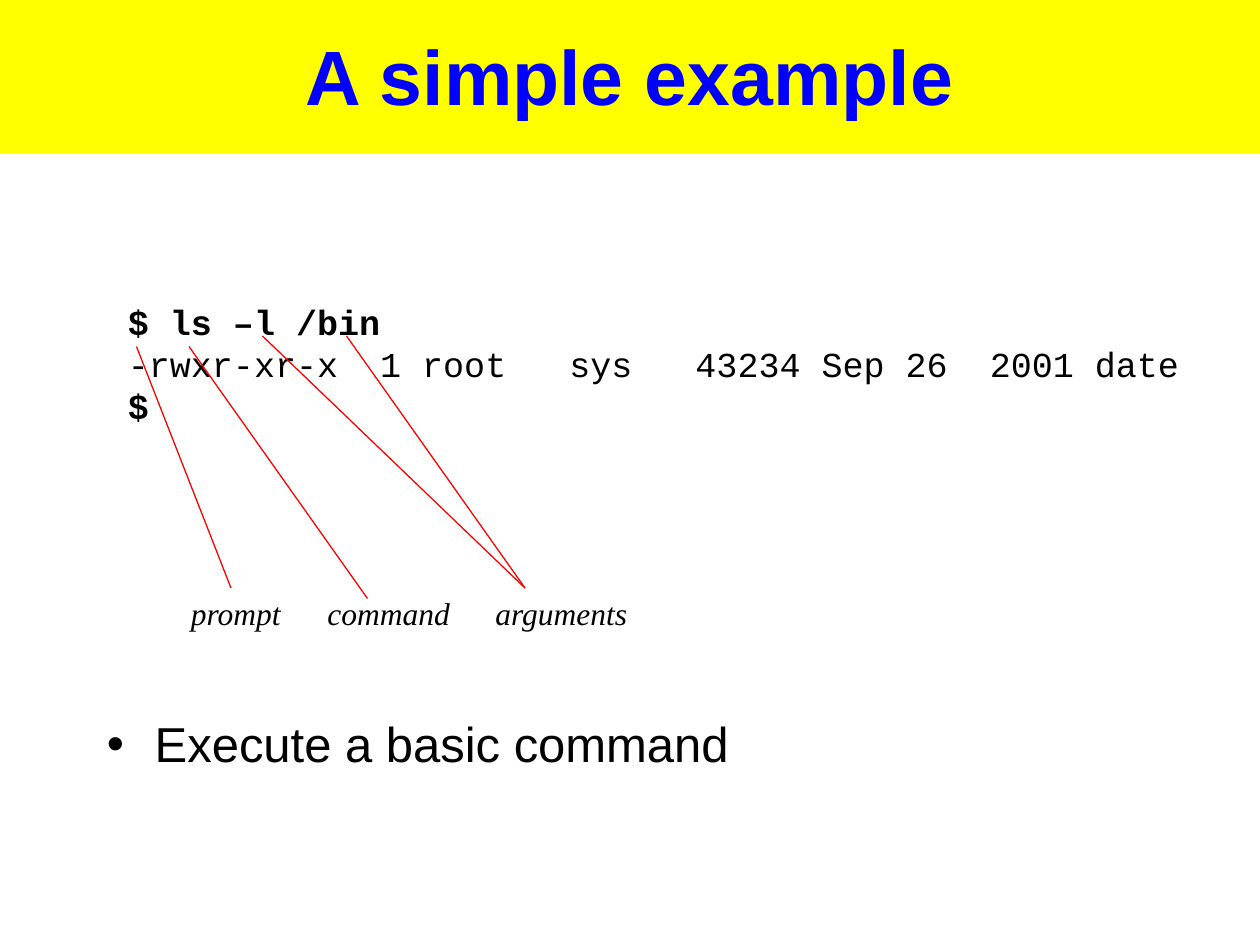
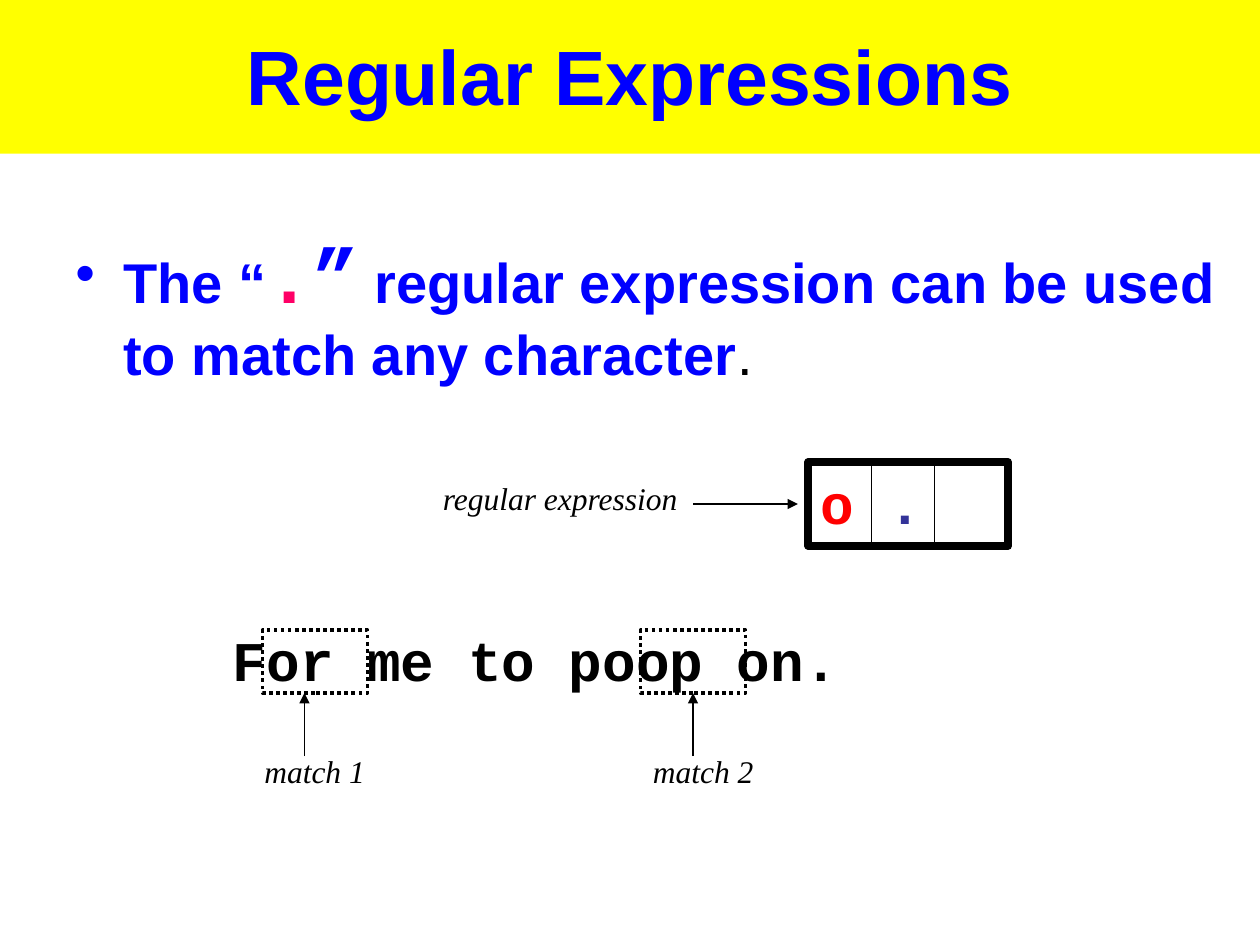
"""Two slides on the shell: a basic command and the dot regular expression."""
from lxml.etree import SubElement
from pptx import Presentation
from pptx.dml.color import RGBColor
from pptx.enum.dml import MSO_LINE
from pptx.enum.shapes import MSO_CONNECTOR, MSO_SHAPE
from pptx.enum.text import MSO_ANCHOR, PP_ALIGN
from pptx.oxml.ns import qn
from pptx.util import Inches, Pt

YELLOW = RGBColor(0xFF, 0xFF, 0x00)
BLUE = RGBColor(0x00, 0x00, 0xFF)
BLACK = RGBColor(0x00, 0x00, 0x00)
RED = RGBColor(0xFF, 0x00, 0x00)
PINK = RGBColor(0xFF, 0x00, 0x66)
INDIGO = RGBColor(0x33, 0x33, 0x99)
SANS, MONO, SERIF = "Arial", "Courier New", "Times New Roman"

COLUMNS, ROWS = 120, 90
deck = Presentation()
deck.slide_width, deck.slide_height = Inches(10), Inches(7.5)
COLUMN = deck.slide_width // COLUMNS
ROW = deck.slide_height // ROWS


def add_text(slide, column, row, columns, rows, runs, bullet=False, wrap=True):
    box = slide.shapes.add_textbox(
        int(column * COLUMN), int(row * ROW), int(columns * COLUMN), int(rows * ROW))
    box.text_frame.word_wrap = wrap
    paragraph = box.text_frame.paragraphs[0]
    if bullet:
        properties = paragraph._p.get_or_add_pPr()
        properties.set("marL", str(Inches(0.38)))
        properties.set("indent", str(-Inches(0.38)))
        SubElement(properties, qn("a:buFont"), typeface=SANS)
        SubElement(properties, qn("a:buChar"), char="•")
    for words, font, size, color, style in runs:
        for number, line in enumerate(words.split("\n")):
            if number:
                paragraph.add_line_break()
            if line:
                run = paragraph.add_run()
                run.text = line
                run.font.name, run.font.size = font, Pt(size)
                run.font.color.rgb = color
                run.font.bold, run.font.italic = style == "bold", style == "italic"
    return paragraph


def add_line(slide, start, end, color, arrow=False):
    line = slide.shapes.add_connector(
        MSO_CONNECTOR.STRAIGHT, start[0] * COLUMN, start[1] * ROW,
        end[0] * COLUMN, end[1] * ROW)
    line.line.color.rgb = color
    line.line.width = Pt(0.75)
    if arrow:
        SubElement(line.line._get_or_add_ln(), qn("a:tailEnd"), type="triangle")
    SubElement(line._element.spPr, qn("a:effectLst"))


slides = []
for heading in ("A simple example", "Regular Expressions"):
    slide = deck.slides.add_slide(deck.slide_layouts[5])
    title = slide.shapes.title
    title.left, title.top = 0, Inches(-0.03)
    title.width, title.height = deck.slide_width, 15 * ROW
    title.fill.solid()
    title.fill.fore_color.rgb = YELLOW
    title.text_frame.vertical_anchor = MSO_ANCHOR.MIDDLE
    paragraph = title.text_frame.paragraphs[0]
    paragraph.alignment = PP_ALIGN.CENTER
    run = paragraph.add_run()
    run.text = heading
    run.font.name, run.font.size, run.font.bold = SANS, Pt(44), True
    run.font.color.rgb = BLUE
    slides.append(slide)
command_slide, regex_slide = slides

summary = add_text(command_slide, 9, 68, 102, 7.5,
                   [("Execute a basic command", SANS, 28, BLACK, "")], bullet=True)
summary.line_spacing = 0.9
add_text(command_slide, 11, 28, 104, 13, [
    ("$ ls –l /bin\n", MONO, 20, BLACK, "bold"),
    ("-rwxr-xr-x  1 root   sys   43234 Sep 26  2001 date\n", MONO, 20, BLACK, ""),
    ("$", MONO, 20, BLACK, "bold"),
])
for part, column, columns in (("prompt", 17, 15), ("command", 30, 15), ("arguments", 46, 18)):
    add_text(command_slide, column, 56, columns, 5, [(part, SERIF, 18, BLACK, "italic")])
for start, end in (((13, 33), (22, 56)), ((18, 33), (35, 57)),
                   ((25, 32), (50, 56)), ((33, 32), (50, 56))):
    add_line(command_slide, start, end, RED)

add_text(regex_slide, 6, 21, 111.6, 15.4, [
    ("The “", SANS, 32, BLUE, "bold"),
    (".", MONO, 44, PINK, "bold"),
    ("”", MONO, 44, BLUE, "bold"),
    (" regular expression can be used to match any character", SANS, 32, BLUE, "bold"),
    (".", SANS, 32, BLACK, ""),
], bullet=True)
add_text(regex_slide, 21, 59, 81, 7.5, [("For me to poop on.", MONO, 32, BLACK, "bold")])

for column, row, columns, rows, weight, dash in (
        (25, 60, 10, 6, 2, MSO_LINE.ROUND_DOT),
        (61, 60, 10, 6, 2, MSO_LINE.ROUND_DOT),
        (77, 44, 19, 8, 4.5, MSO_LINE.SOLID)):
    frame = regex_slide.shapes.add_shape(
        MSO_SHAPE.RECTANGLE, column * COLUMN, row * ROW, columns * COLUMN, rows * ROW)
    frame.shadow.inherit = False
    frame.fill.background()
    frame.line.color.rgb = BLACK
    frame.line.width = Pt(weight)
    frame.line.dash_style = dash

for label, column, row, columns in (
        ("match 1", 24, 71, 12), ("match 2", 61, 71, 12), ("regular expression", 41, 45, 25)):
    add_text(regex_slide, column, row, columns, 5,
             [(label, SERIF, 18, BLACK, "italic")], wrap=False)
for start, end in (((29, 72), (29, 66)), ((66, 72), (66, 66)), ((66, 48), (76, 48))):
    add_line(regex_slide, start, end, BLACK, arrow=True)

add_text(regex_slide, 77, 44, 17, 7.5,
         [("o ", MONO, 32, RED, "bold"), (".", MONO, 32, INDIGO, "bold")])
for divider in (83, 89, 96):
    add_line(regex_slide, (divider, 44), (divider, 52), BLACK)

deck.save("out.pptx")
